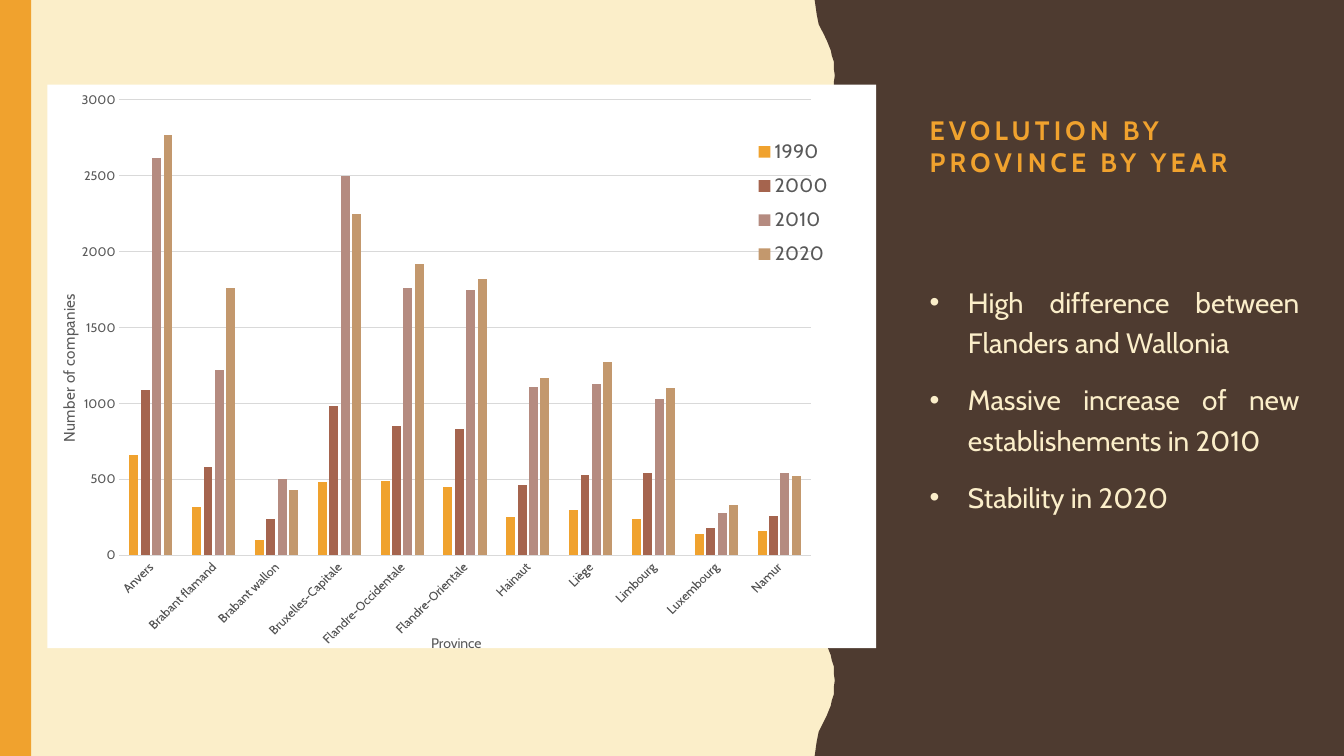
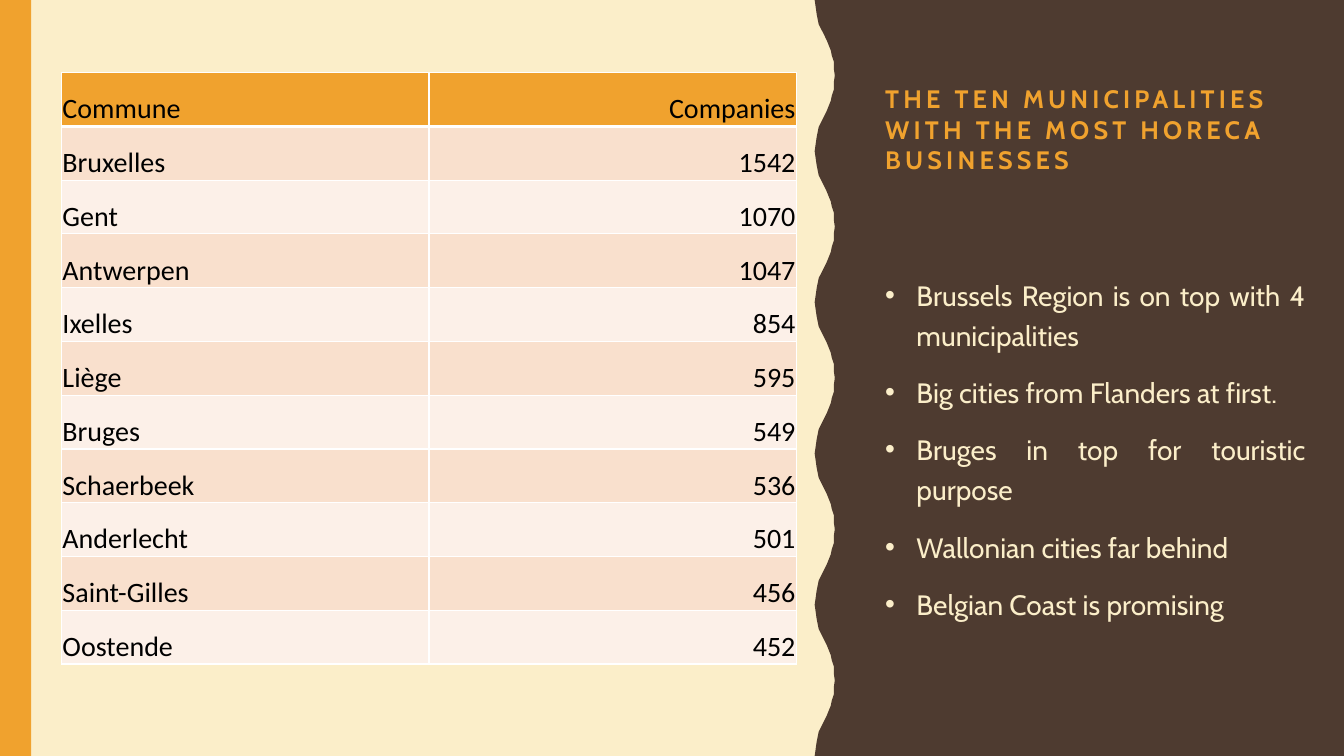
import dataclasses
import typing

import lxml.etree
import pptx
import pptx.chart.data
import pptx.dml.color
import pptx.enum.chart
import pptx.enum.text
import pptx.oxml
import pptx.oxml.ns
import pptx.util

Inches = pptx.util.Inches
Pt = pptx.util.Pt
Align = pptx.enum.text.PP_ALIGN
Anchor = pptx.enum.text.MSO_ANCHOR

INK = {
    "cream": "FBEEC9", "brown": "4E3B30", "gold": "F0A22E", "rust": "A5644E",
    "rose": "B58B80", "tan": "C3986D", "gray": "595959", "grid": "D9D9D9",
    "white": "FFFFFF", "black": "000000", "peach": "F9E0CD", "blush": "FCF0E8",
}
FONT = "Cabin"
WIDE, HIGH = 13.33, 7.5
WAVES = 5
CURVE = [(8.08, 0), (8.09, 0.07), (8.1, 0.14), (8.12, 0.24), (8.14, 0.28),
         (8.16, 0.32), (8.18, 0.36), (8.2, 0.4), (8.22, 0.45), (8.24, 0.5),
         (8.25, 0.55), (8.27, 0.61), (8.27, 0.68), (8.28, 0.75)]


@dataclasses.dataclass
class Box:
    left: float
    top: float
    width: float
    height: float

    def emu(self) -> list[int]:
        return [Inches(v) for v in (self.left, self.top, self.width, self.height)]


@dataclasses.dataclass
class Title:
    text: str
    box: Box
    size: int
    anchor: typing.Any


@dataclasses.dataclass
class Points:
    items: list[str]
    box: Box
    indent: float
    base: float = 0.05


@dataclasses.dataclass
class Series:
    name: str
    color: str
    values: list[int]


def tint(name: str) -> typing.Any:
    return pptx.dml.color.RGBColor.from_string(INK[name])


def paint(fill: typing.Any, name: str) -> None:
    fill.solid()
    fill.fore_color.rgb = tint(name)


def style(font: typing.Any, size: float, color: str, face: str = FONT, bold: bool = False) -> None:
    font.size = Pt(size)
    font.name = face
    font.bold = bold
    font.color.rgb = tint(color)


def move(shape: typing.Any, box: Box) -> None:
    shape.left, shape.top, shape.width, shape.height = box.emu()


def dress(deck: typing.Any, slide: typing.Any) -> None:
    master = deck.slide_master
    paint(master.background.fill, "cream")
    half = HIGH / WAVES / 2
    edge = []
    for wave in range(WAVES):
        top = wave * 2 * half
        edge += [(x, top + y) for x, y in CURVE]
        edge += [(x, top + 2 * half - y) for x, y in reversed(CURVE[:-1])]
    spots = [(Inches(x), Inches(y)) for x, y in [(WIDE, 0), (WIDE, HIGH)] + edge[::-1]]
    pen = slide.shapes.build_freeform(*spots[0], scale=1.0)
    pen.add_line_segments(spots[1:], close=True)
    panel = pen.convert_to_shape()
    stripe = slide.shapes.add_shape(1, *Box(0, 0, 0.31, HIGH).emu())
    for rank, (shape, color) in enumerate([(panel, "brown"), (stripe, "gold")]):
        shape.shadow.inherit = False
        paint(shape.fill, color)
        shape.line.fill.background()
        shape.element.xpath(".//p:cNvPr")[0].set("id", str(20 + rank))
        master.shapes.element.insert(2 + rank, shape.element)


def add_head(slide: typing.Any, title: Title) -> None:
    shape = slide.shapes.title
    move(shape, title.box)
    frame = shape.text_frame
    frame.auto_size = pptx.enum.text.MSO_AUTO_SIZE.NONE
    frame.vertical_anchor = title.anchor
    para = frame.paragraphs[0]
    para.alignment = Align.LEFT
    run = para.add_run()
    run.text = title.text
    style(run.font, title.size, "gold", bold=True)
    run.font._element.set("spc", "300")


def add_list(slide: typing.Any, points: Points) -> None:
    shape = slide.placeholders[1]
    move(shape, points.box)
    frame = shape.text_frame
    frame.auto_size = pptx.enum.text.MSO_AUTO_SIZE.NONE
    frame.vertical_anchor = Anchor.MIDDLE
    frame.margin_bottom = Inches(points.base)
    for rank, item in enumerate(points.items):
        para = frame.add_paragraph() if rank else frame.paragraphs[0]
        para.alignment = Align.JUSTIFY
        para.line_spacing = 1.2
        para.space_before = Pt(12)
        props = para._p.get_or_add_pPr()
        props.set("marL", str(Inches(points.indent)))
        props.set("indent", str(-Inches(points.indent)))
        space = pptx.oxml.ns.nsdecls("a")
        props.append(pptx.oxml.parse_xml(
            f'<a:buClr {space}><a:srgbClr val="{INK["cream"]}"/></a:buClr>'))
        props.append(pptx.oxml.parse_xml(f'<a:buChar {space} char="•"/>'))
        run = para.add_run()
        run.text = item
        style(run.font, 20, "cream")


def lay_out(node: typing.Any, rank: int, spot: dict[str, float], inner: bool = False) -> None:
    for old in node.xpath("./c:layout"):
        node.remove(old)
    parts = '<c:layoutTarget val="inner"/>' if inner else ""
    parts += "".join(f'<c:{k}Mode val="edge"/>' for k in "xy")
    parts += "".join(f'<c:{k} val="{v}"/>' for k, v in spot.items())
    node.insert(rank, pptx.oxml.parse_xml(
        f'<c:layout {pptx.oxml.ns.nsdecls("c")}><c:manualLayout>{parts}'
        "</c:manualLayout></c:layout>"))


def name_axis(axis: typing.Any, text: str, size: int) -> None:
    run = axis.axis_title.text_frame.paragraphs[0].add_run()
    run.text = text
    style(run.font, size, "gray")
    style(axis.tick_labels.font, 9, "gray")
    axis.major_tick_mark = pptx.enum.chart.XL_TICK_MARK.NONE
    axis.minor_tick_mark = pptx.enum.chart.XL_TICK_MARK.NONE


def rule(line: typing.Any) -> None:
    line.color.rgb = tint("grid")
    line.width = Pt(0.75)


def add_bars(slide: typing.Any, box: Box, names: list[str], rows: list[Series]) -> None:
    data = pptx.chart.data.CategoryChartData()
    data.categories = names
    for row in rows:
        data.add_series(row.name, row.values)
    kind = pptx.enum.chart.XL_CHART_TYPE.COLUMN_CLUSTERED
    chart = slide.shapes.add_chart(kind, *box.emu(), data).chart
    chart.has_title = False
    style(chart.font, 10, "black")
    plot = chart.plots[0]
    plot.gap_width = 219
    plot.overlap = -27
    plot.vary_by_categories = False
    for bars, row in zip(plot.series, rows):
        paint(bars.format.fill, row.color)

    across, up = chart.category_axis, chart.value_axis
    name_axis(across, "Province", 10)
    name_axis(up, "Number of companies", 11)
    rule(across.format.line)
    rule(up.major_gridlines.format.line)
    up.format.line.fill.background()
    up.minimum_scale, up.maximum_scale, up.major_unit = 0, 3000, 500

    chart.has_legend = True
    chart.legend.position = pptx.enum.chart.XL_LEGEND_POSITION.RIGHT
    chart.legend.include_in_layout = False
    style(chart.legend.font, 14, "gray")

    root = chart.element
    root.xpath(".//c:catAx/c:txPr/a:bodyPr")[0].set("rot", "-2700000")
    lay_out(root.xpath(".//c:plotArea")[0], 0,
            {"x": 0.087, "y": 0.027, "w": 0.834, "h": 0.808}, True)
    lay_out(root.xpath(".//c:legend")[0], 1, {"x": 0.85, "y": 0.08, "w": 0.1, "h": 0.26})
    lay_out(root.xpath(".//c:catAx/c:title")[0], 1, {"x": 0.46, "y": 0.97})
    lay_out(root.xpath(".//c:valAx/c:title")[0], 1, {"x": 0.01, "y": 0.37})
    root.xpath("./c:txPr")[0].addprevious(pptx.oxml.parse_xml(
        f'<c:spPr {pptx.oxml.ns.nsdecls("c", "a")}><a:solidFill><a:srgbClr val="{INK["white"]}"/>'
        "</a:solidFill><a:ln><a:noFill/></a:ln></c:spPr>"))


def edge_cell(cell: typing.Any, row: int) -> None:
    props = cell._tc.get_or_add_tcPr()
    sizes = {"L": 1, "R": 1, "T": 3 if row == 1 else 1, "B": 1 if row else 3}
    for rank, (side, size) in enumerate(sizes.items()):
        props.insert(rank, pptx.oxml.parse_xml(
            f'<a:ln{side} {pptx.oxml.ns.nsdecls("a")} w="{Pt(size)}"><a:solidFill>'
            f'<a:srgbClr val="{INK["white"]}"/></a:solidFill></a:ln{side}>'))


def add_grid(slide: typing.Any, box: Box, rows: list[tuple[str, str]]) -> None:
    table = slide.shapes.add_table(len(rows), 2, *box.emu()).table
    table.horz_banding = False
    for row, texts in enumerate(rows):
        table.rows[row].height = Inches(box.height / len(rows))
        for col, text in enumerate(texts):
            cell = table.cell(row, col)
            cell.vertical_anchor = Anchor.BOTTOM
            cell.margin_left = cell.margin_right = cell.margin_top = Inches(0.01)
            cell.margin_bottom = 0
            paint(cell.fill, ("peach" if row % 2 else "blush") if row else "gold")
            edge_cell(cell, row)
            para = cell.text_frame.paragraphs[0]
            para.alignment = Align.RIGHT if col else Align.LEFT
            run = para.add_run()
            run.text = text
            style(run.font, 20, "black", "Calibri")


PLACES = ["Anvers", "Brabant flamand", "Brabant wallon", "Bruxelles-Capitale",
          "Flandre-Occidentale", "Flandre-Orientale", "Hainaut", "Liège",
          "Limbourg", "Luxembourg", "Namur"]
YEARS = [
    Series("1990", "gold", [660, 320, 100, 480, 490, 450, 250, 300, 240, 140, 160]),
    Series("2000", "rust", [1090, 580, 240, 980, 850, 830, 460, 530, 540, 180, 260]),
    Series("2010", "rose", [2620, 1220, 500, 2500, 1760, 1750, 1110, 1130, 1030, 280, 540]),
    Series("2020", "tan", [2770, 1760, 430, 2250, 1920, 1820, 1170, 1270, 1100, 330, 520]),
]
TOWNS = [("Commune", "Companies"), ("Bruxelles", "1542"), ("Gent", "1070"),
         ("Antwerpen", "1047"), ("Ixelles", "854"), ("Liège", "595"),
         ("Bruges", "549"), ("Schaerbeek", "536"), ("Anderlecht", "501"),
         ("Saint-Gilles", "456"), ("Oostende", "452")]


def main() -> None:
    deck = pptx.Presentation()
    deck.slide_width, deck.slide_height = Inches(WIDE), Inches(HIGH)
    first, second = [deck.slides.add_slide(deck.slide_layouts[1]) for _ in range(2)]
    dress(deck, first)

    add_head(first, Title("EVOLUTION BY PROVINCE BY YEAR",
                          Box(9.12, 0.5, 3.38, 1.31), 19, Anchor.BOTTOM))
    add_bars(first, Box(0.47, 0.84, 8.22, 5.67), PLACES, YEARS)
    add_list(first, Points([
        "High difference between Flanders and Wallonia",
        "Massive increase of new establishements in 2010",
        "Stability in 2020",
    ], Box(9.12, 1.9, 3.87, 4.55), 0.38, 0.54))

    add_head(second, Title("THE TEN MUNICIPALITIES WITH THE MOST HORECA BUSINESSES",
                           Box(8.68, 0.28, 4.04, 2), 18, Anchor.MIDDLE))
    add_grid(second, Box(0.61, 0.72, 7.29, 5.87), TOWNS)
    add_list(second, Points([
        "Brussels Region is on top with 4 municipalities",
        "Big cities from Flanders at first.",
        "Bruges in top for touristic purpose",
        "Wallonian cities far behind",
        "Belgian Coast is promising",
    ], Box(8.68, 1.9, 4.37, 5.05), 0.31))
    deck.save("out.pptx")


if __name__ == "__main__":
    main()
